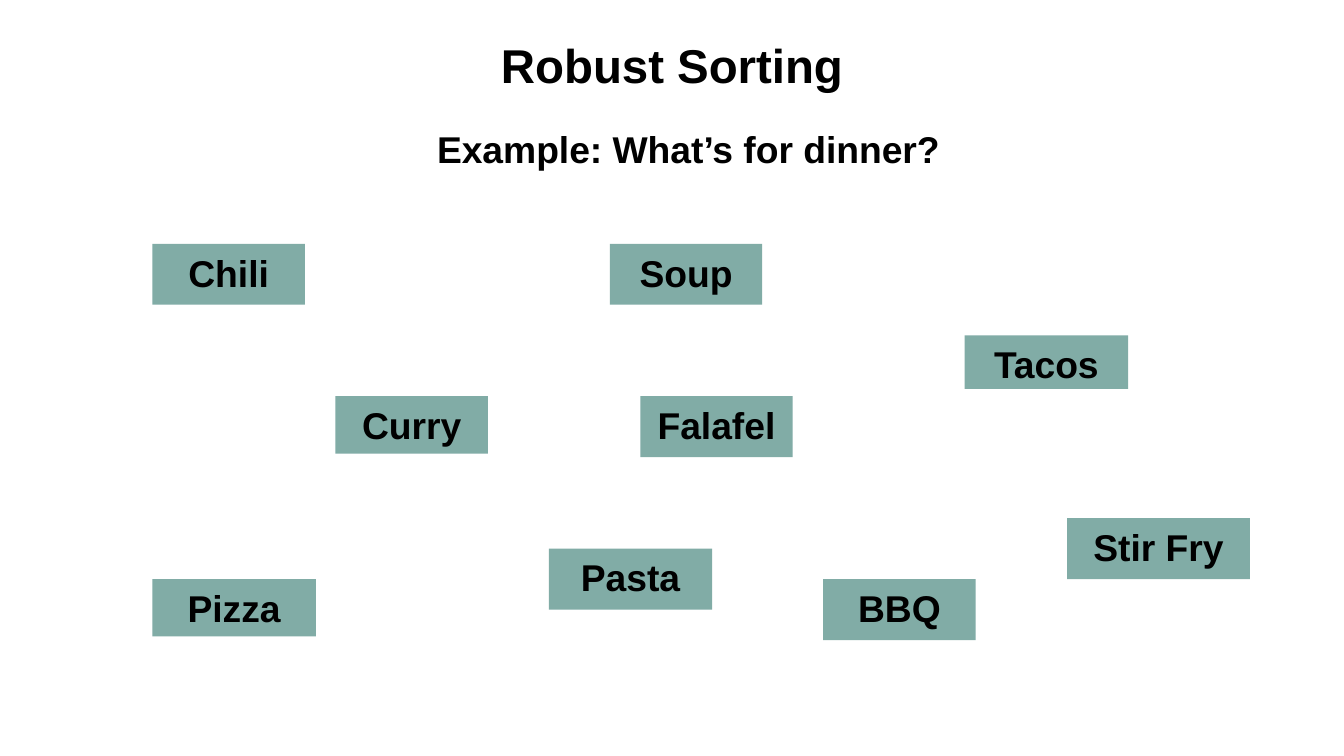
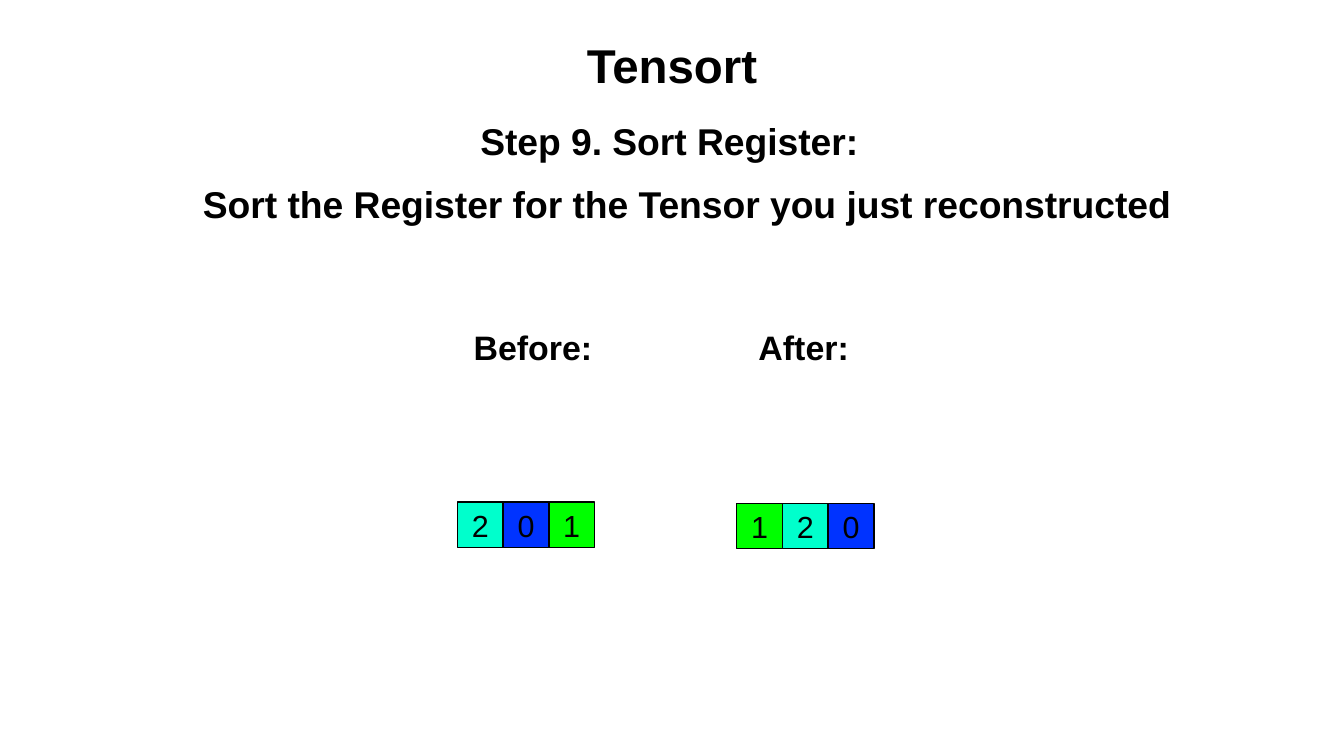
from pptx import Presentation
from pptx.dml.color import RGBColor
from pptx.enum.shapes import MSO_SHAPE as SHAPE
from pptx.enum.text import MSO_ANCHOR as ANCHOR, PP_ALIGN as ALIGN
from pptx.util import Inches, Pt

BLACK = "000000"
SAGE = "81ACA6"
DIGIT_FILLS = {"0": "0033FF", "1": "00FF00", "2": "00FFCC"}
TITLE_BOX = (0.55, 0.01, 9.92, 1.04)
CELL = 0.37
CELL_STEP = 0.375
NO_INSETS = (0, 0)
INSETS = (0.1, 0.05)


def color(value):
    return RGBColor.from_string(value)


def inches(*values):
    return [Inches(v) for v in values]


def put_text(sp, text, size, bold=True, align=ALIGN.CENTER, anchor=ANCHOR.TOP, insets=INSETS):
    tf = sp.text_frame
    dx, dy = inches(*insets)
    frame = {"word_wrap": True, "vertical_anchor": anchor, "margin_left": dx,
             "margin_right": dx, "margin_top": dy, "margin_bottom": dy}
    for name, value in frame.items():
        setattr(tf, name, value)
    p = tf.paragraphs[0]
    p.alignment = align
    p.space_before = Pt(0)
    r = p.add_run()
    r.text = text
    for name, value in {"name": "Arial", "size": Pt(size), "bold": bold}.items():
        setattr(r.font, name, value)
    r.font.color.rgb = color(BLACK)


def fill_placeholder(sp, box, text, size):
    for name, value in zip(("left", "top", "width", "height"), inches(*box)):
        setattr(sp, name, value)
    put_text(sp, text, size, anchor=ANCHOR.MIDDLE, insets=NO_INSETS)


def add_text(s, box, text, size, **style):
    put_text(s.shapes.add_textbox(*inches(*box)), text, size, **style)


def add_rect(s, box, fill, line=None):
    sp = s.shapes.add_shape(SHAPE.RECTANGLE, *inches(*box))
    sp.shadow.inherit = False
    sp.fill.solid()
    sp.fill.fore_color.rgb = color(fill)
    if line:
        sp.line.color.rgb = color(line)
        sp.line.width = Pt(1)
    else:
        sp.line.fill.background()
    return sp


def add_slide(prs, layout, title):
    s = prs.slides.add_slide(prs.slide_layouts.get_by_name(layout))
    fill_placeholder(s.shapes.title, TITLE_BOX, title, 28)
    return s


def add_register(s, left, top, digits):
    for i, digit in enumerate(digits):
        box = (left + i * CELL_STEP, top, CELL_STEP, CELL)
        sp = add_rect(s, box, DIGIT_FILLS[digit], BLACK)
        put_text(sp, digit, 18, bold=False, anchor=ANCHOR.MIDDLE, insets=NO_INSETS)


def dinner_slide(prs):
    s = add_slide(prs, "Title Only", "Robust Sorting")
    add_text(s, (1.77, 0.99, 7.75, 0.78), "Example: What’s for dinner?", 22)
    dishes = {
        "Pizza": (1.25, 4.75, 1.34, 0.47),
        "Curry": (2.75, 3.25, 1.25, 0.47),
        "Tacos": (7.91, 2.75, 1.34, 0.44),
        "Pasta": (4.5, 4.5, 1.34, 0.5),
        "Chili": (1.25, 2, 1.25, 0.5),
        "Stir Fry": (8.75, 4.25, 1.5, 0.5),
        "Soup": (5, 2, 1.25, 0.5),
        "BBQ": (6.75, 4.75, 1.25, 0.5),
        "Falafel": (5.25, 3.25, 1.25, 0.5),
    }
    for dish, box in dishes.items():
        put_text(add_rect(s, box, SAGE), dish, 22)


def register_slide(prs):
    s = add_slide(prs, "Title Slide", "Tensort")
    fill_placeholder(s.placeholders[1], (3.41, 2.47, 1.92, 0.75), "Before:", 20)
    add_text(s, (5.63, 2.47, 1.92, 0.75), "After:", 20, anchor=ANCHOR.MIDDLE, insets=NO_INSETS)
    add_text(s, (3.84, 0.92, 5.96, 0.78), "Step 9. Sort Register:", 22, align=ALIGN.LEFT)
    add_text(s, (0.76, 1.44, 9.75, 0.44),
             "Sort the Register for the Tensor you just reconstructed", 22)
    add_register(s, 3.75, 4.12, "201")
    add_register(s, 6.04, 4.13, "120")


def main():
    prs = Presentation()
    prs.slide_width, prs.slide_height = inches(11.02, 6.2)
    dinner_slide(prs)
    register_slide(prs)
    prs.save("out.pptx")


if __name__ == "__main__":
    main()
